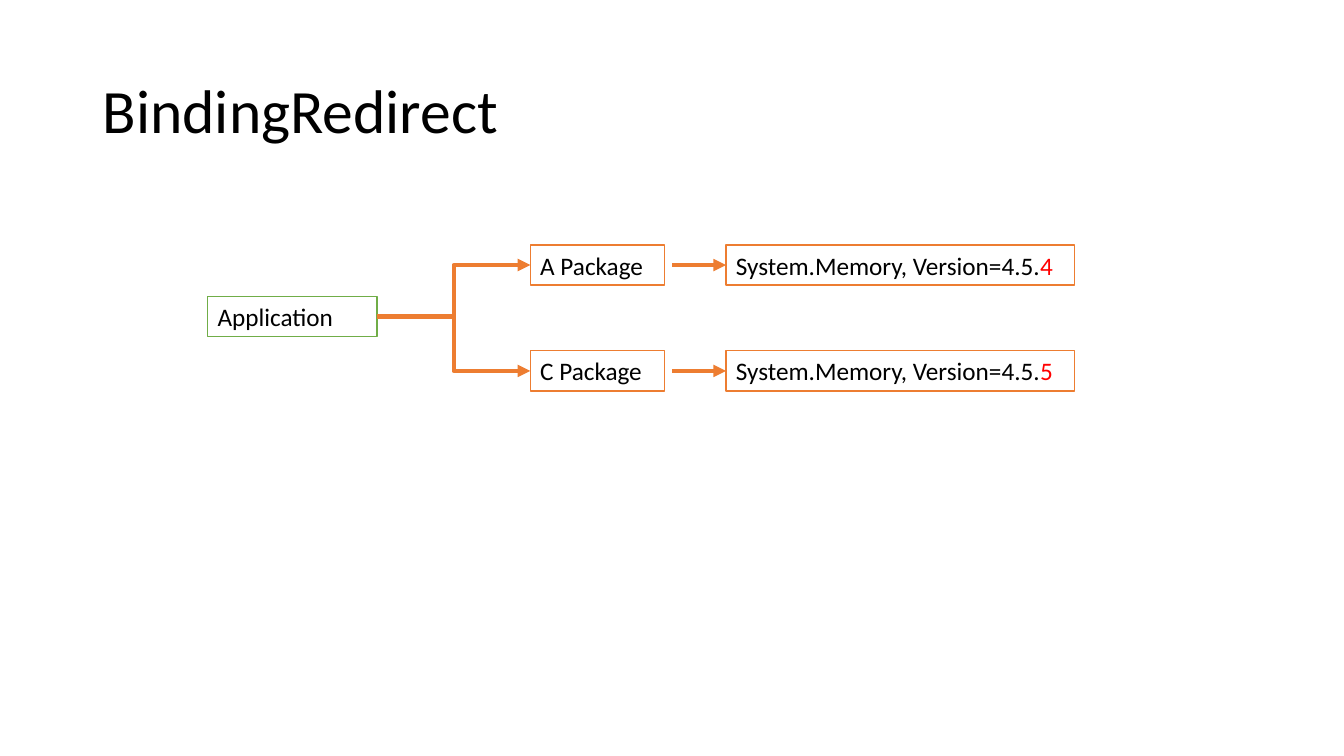
from pptx import Presentation
from pptx.dml.color import RGBColor
from pptx.enum.shapes import MSO_CONNECTOR, MSO_SHAPE
from pptx.enum.text import MSO_ANCHOR, MSO_AUTO_SIZE, PP_ALIGN
from pptx.oxml.ns import qn
from pptx.util import Inches, Pt
from lxml.etree import SubElement

COLORS = {
    "text": "000000",
    "box": "FFFFFF",
    "package": "ED7D31",
    "application": "70AD47",
    "version": "FF0000",
}
FONT = "Calibri"
BOX_H = 0.4
TOP, LEFT, RIGHT = 0, 1, 3


def rgb(name):
    return RGBColor.from_string(COLORS[name])


def add_run(p, text, size, color="text"):
    r = p.add_run()
    r.text = text
    r.font.name = FONT
    r.font.size = Pt(size)
    r.font.color.rgb = rgb(color)


def add_title(s, text):
    sp = s.shapes.add_textbox(Inches(0.92), Inches(0.4), Inches(11.5), Inches(1.45))
    tf = sp.text_frame
    tf.word_wrap = True
    tf.vertical_anchor = MSO_ANCHOR.MIDDLE
    p = tf.paragraphs[0]
    p.line_spacing = 0.9
    add_run(p, text, 44)


def add_box(s, x, y, w, runs, line="package"):
    """Add an outlined box; runs is a list of (text, colour name)."""
    sp = s.shapes.add_shape(MSO_SHAPE.RECTANGLE, Inches(x), Inches(y), Inches(w), Inches(BOX_H))
    sp.shadow.inherit = False
    sp.fill.solid()
    sp.fill.fore_color.rgb = rgb("box")
    sp.line.color.rgb = rgb(line)
    sp.line.width = Pt(1)
    tf = sp.text_frame
    tf.word_wrap = True
    tf.auto_size = MSO_AUTO_SIZE.SHAPE_TO_FIT_TEXT
    tf.vertical_anchor = MSO_ANCHOR.TOP
    p = tf.paragraphs[0]
    p.alignment = PP_ALIGN.LEFT
    for text, color in runs:
        add_run(p, text, 18, color)
    return sp


def add_arrow(s, kind, x, y, target, source=None):
    """Add an arrow from (x, y), or from the right side of source, to the left side of target."""
    c = s.shapes.add_connector(
        kind, Inches(x), Inches(y), target.left, target.top + target.height // 2
    )
    if source is not None:
        c.begin_connect(source, RIGHT)
    c.end_connect(target, LEFT)
    c.line.color.rgb = rgb("package")
    c.line.width = Pt(3)
    SubElement(c.line._get_or_add_ln(), qn("a:tailEnd"), type="triangle")
    SubElement(c._element.spPr, qn("a:effectLst"))


def main():
    prs = Presentation()
    prs.slide_width = Inches(13.33)
    prs.slide_height = Inches(7.5)
    s = prs.slides.add_slide(prs.slide_layouts[6])

    add_title(s, "BindingRedirect")
    application = add_box(s, 2.06, 2.94, 1.68, [("Application", "text")], "application")

    for y, package, patch in [(2.43, "A Package", "4"), (3.48, "C Package", "5")]:
        middle = y + BOX_H / 2
        package_box = add_box(s, 5.26, y, 1.33, [(package, "text")])
        memory_box = add_box(
            s, 7.2, y, 3.46, [("System.Memory, Version=4.5.", "text"), (patch, "version")]
        )
        add_arrow(s, MSO_CONNECTOR.STRAIGHT, 6.67, middle, memory_box)
        add_arrow(s, MSO_CONNECTOR.ELBOW, 3.74, 3.14, package_box, application)

    prs.save("out.pptx")


if __name__ == "__main__":
    main()
